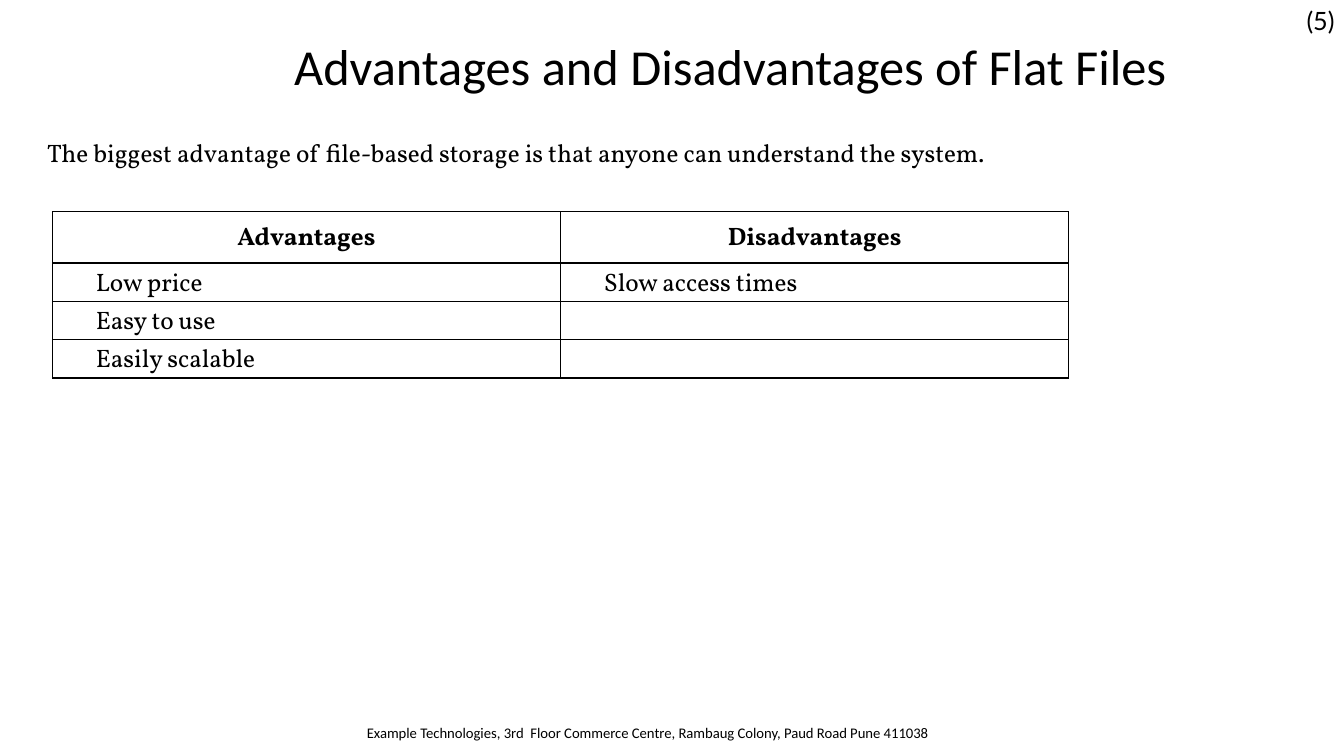
from typing import NamedTuple

from lxml import etree
from pptx import Presentation
from pptx.dml.color import RGBColor
from pptx.enum.shapes import MSO_SHAPE
from pptx.enum.text import MSO_ANCHOR, PP_ALIGN
from pptx.oxml.ns import qn
from pptx.util import Inches, Pt

LEFT, CENTER, RIGHT = PP_ALIGN.LEFT, PP_ALIGN.CENTER, PP_ALIGN.RIGHT
TOP, BOTTOM = MSO_ANCHOR.TOP, MSO_ANCHOR.BOTTOM
RECTANGLE = MSO_SHAPE.RECTANGLE
COLORS = {"text": "000000", "border": "000000", "background": "FFFFFF"}
BODY_FONT = "Vollkorn"
BODY_SIZE = 18


class Label(NamedTuple):
    """A single line of text in its own box, lengths in inches."""
    text: str
    left: float
    top: float
    width: float
    height: float
    font: str
    size: float
    align: PP_ALIGN = LEFT
    spacing: float = 1.0
    wrap: bool = True
    filled: bool = False


class RowStyle(NamedTuple):
    """The look of a table row, lengths in inches."""
    height: float
    inset: float
    indent: float
    align: PP_ALIGN
    anchor: MSO_ANCHOR
    bold: bool


LABELS = [
    Label("Example Technologies, 3rd  Floor Commerce Centre, Rambaug Colony, "
          "Paud Road Pune 411038", 3.54, 7.13, 5.91, 0.4, "Calibri", 10.5),
    Label("Advantages and Disadvantages of Flat Files", 1.67, 0, 10, 0.92,
          "Calibri", 36, align=RIGHT, spacing=1.5, filled=True),
    Label("(5)", 12.86, 0, 0.48, 0.4, "Lato", 18, wrap=False),
    Label("The biggest advantage of file-based storage is that anyone can "
          "understand the system.", 0.37, 1.31, 12.6, 0.4, BODY_FONT, BODY_SIZE),
]
HEADER = RowStyle(0.51, 0.1, 0, CENTER, BOTTOM, True)
BODY = RowStyle(0.38, 0.04, 0.39, LEFT, TOP, False)
ROWS = [
    ("Advantages", "Disadvantages"),
    ("Low price", "Slow access times"),
    ("Easy to use", ""),
    ("Easily scalable", ""),
]


def format_font(font, name: str, size: float, bold: bool = False) -> None:
    """Set the face, size, weight and colour of a font."""
    font.name, font.size, font.bold = name, Pt(size), bold
    font.color.rgb = RGBColor.from_string(COLORS["text"])


def add_label(slide, label: Label) -> None:
    """Draw a label as a text box, or as a rectangle when it is filled."""
    box = [Inches(v) for v in (label.left, label.top, label.width, label.height)]
    if label.filled:
        sp = slide.shapes.add_shape(RECTANGLE, *box)
        sp.shadow.inherit = False
        sp.fill.solid()
        sp.fill.fore_color.rgb = RGBColor.from_string(COLORS["background"])
        sp.line.fill.background()
    else:
        sp = slide.shapes.add_textbox(*box)
    tf = sp.text_frame
    tf.text = label.text
    tf.word_wrap = label.wrap
    tf.vertical_anchor = TOP
    p = tf.paragraphs[0]
    p.alignment, p.line_spacing = label.align, label.spacing
    format_font(p.runs[0].font, label.font, label.size)


def add_borders(cell) -> None:
    """Give a cell a thin line on all four sides."""
    props = cell._tc.get_or_add_tcPr()
    for index, side in enumerate(("lnL", "lnR", "lnT", "lnB")):
        line = etree.Element(qn(f"a:{side}"), w=str(Pt(1)))
        fill = etree.SubElement(line, qn("a:solidFill"))
        etree.SubElement(fill, qn("a:srgbClr"), val=COLORS["border"])
        props.insert(index, line)


def fill_cell(cell, text: str, style: RowStyle) -> None:
    """Write and format one table cell."""
    cell.text = text
    cell.fill.background()
    cell.vertical_anchor = style.anchor
    cell.margin_left = cell.margin_right = Inches(style.inset)
    cell.margin_top = cell.margin_bottom = Inches(style.inset)
    p = cell.text_frame.paragraphs[0]
    p.alignment = style.align
    p._p.get_or_add_pPr().set("marL", str(Inches(style.indent)))
    for r in p.runs:
        format_font(r.font, BODY_FONT, BODY_SIZE, style.bold)
    add_borders(cell)


def add_comparison(slide) -> None:
    """Draw the table of advantages and disadvantages."""
    styles = [HEADER] + [BODY] * (len(ROWS) - 1)
    height = sum(style.height for style in styles)
    table = slide.shapes.add_table(len(ROWS), len(ROWS[0]), Inches(0.52),
                                   Inches(2.1), Inches(10.08), Inches(height)).table
    table.first_row = table.horz_banding = False
    for row, texts, style in zip(table.rows, ROWS, styles):
        row.height = Inches(style.height)
        for cell, text in zip(row.cells, texts):
            fill_cell(cell, text, style)


def main() -> None:
    """Build the slide and save it."""
    prs = Presentation()
    prs.slide_width, prs.slide_height = Inches(13.33), Inches(7.5)
    slide = prs.slides.add_slide(prs.slide_layouts[6])
    for label in LABELS:
        add_label(slide, label)
    add_comparison(slide)
    prs.save("out.pptx")


main()
